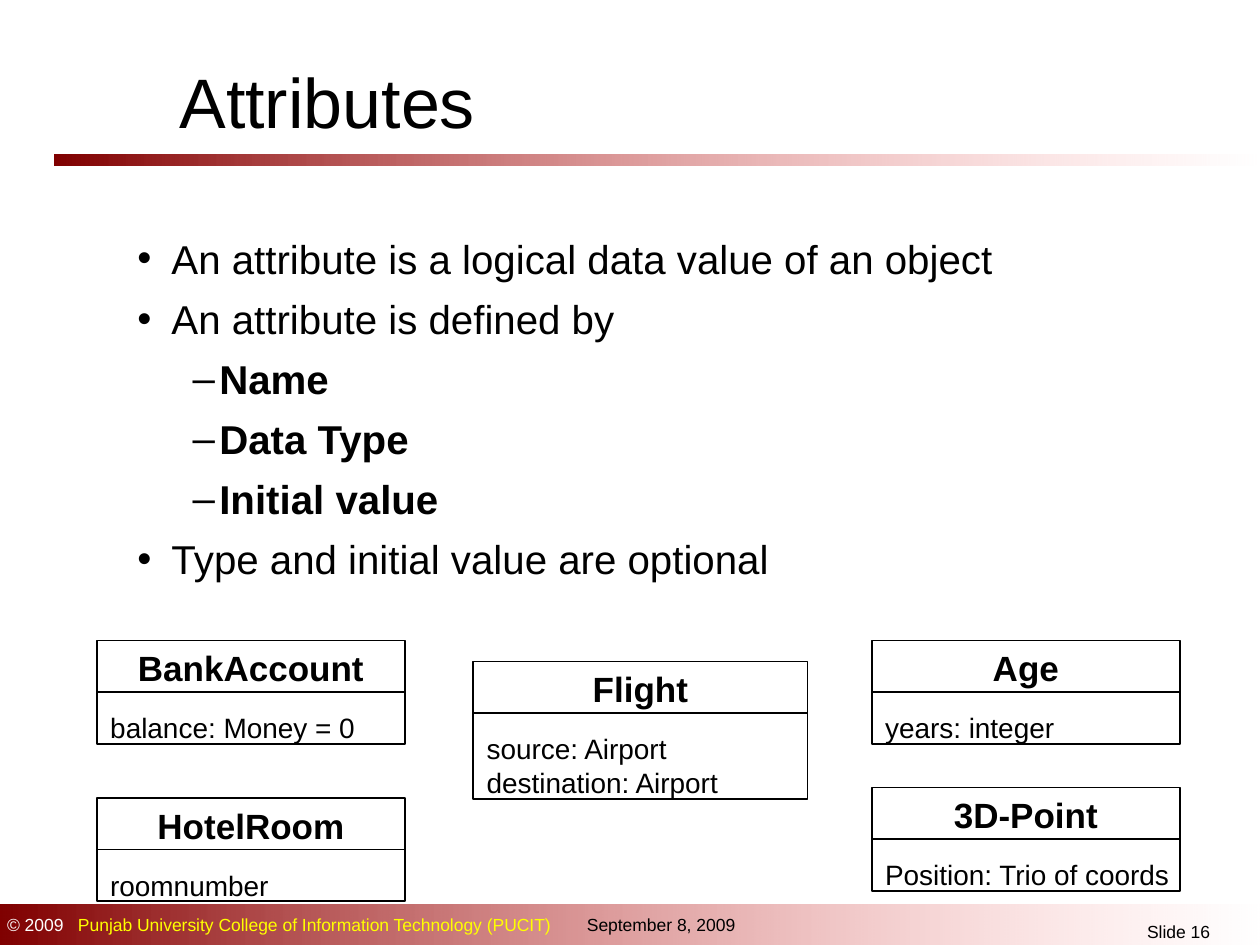
from dataclasses import dataclass

from lxml.etree import SubElement
from pptx import Presentation
from pptx.dml.color import RGBColor
from pptx.enum.shapes import MSO_CONNECTOR, MSO_SHAPE
from pptx.enum.text import MSO_ANCHOR, MSO_AUTO_SIZE, PP_ALIGN
from pptx.oxml.ns import qn
from pptx.util import Pt


@dataclass(frozen=True)
class Theme:
    font: str = "Arial"
    black: RGBColor = RGBColor(0, 0, 0)
    white: RGBColor = RGBColor(255, 255, 255)
    yellow: RGBColor = RGBColor(255, 255, 0)
    maroon: RGBColor = RGBColor(128, 0, 0)
    pink: RGBColor = RGBColor(255, 133, 133)
    title_size: int = 40
    body_size: int = 23
    class_size: int = 20
    member_size: int = 16
    footer_size: int = 10


THEME = Theme()

# Text, level
BULLETS = [
    ("An attribute is a logical data value of an object", 0),
    ("An attribute is defined by", 0),
    ("Name", 1),
    ("Data Type", 1),
    ("Initial value", 1),
    ("Type and initial value are optional", 0),
]
# Per level: bullet sign, left margin, hanging indent
LEVELS = [("•", 19.5, -19.5), ("–", 46.8, -15.2)]

# Class name, members, left, top, width, height, width of the member text
CLASSES = [
    ("BankAccount", ["balance: Money = 0"], 55.4, 366, 176, 59, 154),
    ("HotelRoom", ["roomnumber"], 55.4, 456, 176, 59, 105),
    ("Flight", ["source: Airport", "destination: Airport"], 270.5, 378, 191, 78.5, 148),
    ("Age", ["years: integer"], 498.2, 366, 176, 59, 111),
    ("3D-Point", ["Position: Trio of coords"], 498.2, 450, 176, 59, 182),
]
DIVIDER_OFFSET = 29.5
MEMBER_OFFSET = 36.5


def place(shape, left, top, width, height):
    box = {"left": left, "top": top, "width": width, "height": height}
    for name, value in box.items():
        setattr(shape, name, Pt(value))


def format_frame(frame, horizontal=7.2, vertical=3.6, wrap=True):
    values = {
        "margin_left": Pt(horizontal), "margin_right": Pt(horizontal),
        "margin_top": Pt(vertical), "margin_bottom": Pt(vertical),
        "auto_size": MSO_AUTO_SIZE.NONE, "word_wrap": wrap,
        "vertical_anchor": MSO_ANCHOR.TOP,
    }
    for name, value in values.items():
        setattr(frame, name, value)


def add_run(paragraph, text, size, color=THEME.black, bold=False):
    run = paragraph.add_run()
    run.text = text
    values = {"name": THEME.font, "size": Pt(size), "bold": bold}
    for name, value in values.items():
        setattr(run.font, name, value)
    run.font.color.rgb = color


def add_paragraph(frame, index):
    return frame.add_paragraph() if index else frame.paragraphs[0]


def add_text_box(shapes, left, top, width, height, wrap=True):
    box = shapes.add_textbox(Pt(left), Pt(top), Pt(width), Pt(height))
    format_frame(box.text_frame, wrap=wrap)
    return box.text_frame


def add_gradient_bar(slide, left, top, width, height):
    bar = slide.shapes.add_shape(
        MSO_SHAPE.RECTANGLE, Pt(left), Pt(top), Pt(width), Pt(height))
    bar.shadow.inherit = False
    bar.line.fill.background()
    bar.fill.gradient()
    bar.fill.gradient_angle = 0
    for stop, color in zip(bar.fill.gradient_stops, (THEME.maroon, THEME.pink)):
        stop.color.rgb = color
    # The last stop fades out completely
    last_color = list(bar._element.spPr.iter(qn("a:srgbClr")))[-1]
    SubElement(last_color, qn("a:alpha"), val="0")


def add_title(slide):
    title = slide.shapes.title
    place(title, 99, 32, 184, 50)
    format_frame(title.text_frame, horizontal=3.6, vertical=1.4)
    paragraph = title.text_frame.paragraphs[0]
    paragraph.alignment = PP_ALIGN.LEFT
    add_run(paragraph, "Attributes", THEME.title_size)


def add_bullet_list(slide):
    body = slide.placeholders[1]
    place(body, 72, 130, 592, 208)
    format_frame(body.text_frame, horizontal=6.5)
    for index, (text, level) in enumerate(BULLETS):
        paragraph = add_paragraph(body.text_frame, index)
        sign, margin, indent = LEVELS[level]
        properties = paragraph._p.get_or_add_pPr()
        properties.set("marL", str(Pt(margin)))
        properties.set("indent", str(Pt(indent)))
        SubElement(properties, qn("a:buFont"), typeface=THEME.font)
        SubElement(properties, qn("a:buChar"), char=sign)
        paragraph.level = level
        paragraph.space_before = Pt(6.8 if index else 0)
        add_run(paragraph, text, THEME.body_size, bold=level == 1)


def add_class_box(slide, name, members, left, top, width, height, member_width):
    shapes = slide.shapes.add_group_shape().shapes

    # Outline with the class name
    outline = shapes.add_shape(
        MSO_SHAPE.RECTANGLE, Pt(left), Pt(top), Pt(width), Pt(height))
    outline.shadow.inherit = False
    outline.fill.background()
    format_frame(outline.text_frame, wrap=False)
    paragraph = outline.text_frame.paragraphs[0]
    paragraph.alignment = PP_ALIGN.CENTER
    add_run(paragraph, name, THEME.class_size, bold=True)

    # Divider
    y = Pt(top + DIVIDER_OFFSET)
    divider = shapes.add_connector(
        MSO_CONNECTOR.STRAIGHT, Pt(left), y, Pt(left + width), y)
    SubElement(divider._element.spPr, qn("a:effectLst"))
    if DIVIDER_OFFSET * 2 == height:
        divider.begin_connect(outline, 1)
        divider.end_connect(outline, 3)
    for shape in (outline, divider):
        shape.line.color.rgb = THEME.black
        shape.line.width = Pt(1)

    # Members
    frame = add_text_box(shapes, left + 0.5, top + MEMBER_OFFSET, member_width,
                         7 + 19 * len(members), wrap=False)
    for index, member in enumerate(members):
        add_run(add_paragraph(frame, index), member, THEME.member_size)


def add_footer(slide):
    size = THEME.footer_size
    add_gradient_bar(slide, 0, 517, 722, 25)

    # Copyright line, with a tab between year and owner
    paragraph = add_text_box(slide.shapes, -3, 519, 465, 19.5).paragraphs[0]
    tabs = SubElement(paragraph._p.get_or_add_pPr(), qn("a:tabLst"))
    SubElement(tabs, qn("a:tab"), pos=str(Pt(40.5)), algn="l")
    add_run(paragraph, "© 2009\t", size, THEME.white)
    add_run(paragraph, "Punjab University College of Information Technology (PUCIT)",
            size, THEME.yellow)

    # Date
    frame = add_text_box(slide.shapes, 309, 519, 130, 19.5)
    frame.margin_left = Pt(26.4)
    add_run(frame.paragraphs[0], "September 8, 2009", size)

    # Slide number
    paragraph = add_text_box(slide.shapes, 598.5, 523, 150, 17).paragraphs[0]
    paragraph.alignment = PP_ALIGN.CENTER
    add_run(paragraph, "Slide 16", size)


def main():
    presentation = Presentation()
    presentation.slide_width, presentation.slide_height = Pt(720), Pt(540)
    slide = presentation.slides.add_slide(presentation.slide_layouts[1])
    add_gradient_bar(slide, 31, 88.5, 689, 6)
    add_footer(slide)
    add_title(slide)
    add_bullet_list(slide)
    for class_values in CLASSES:
        add_class_box(slide, *class_values)
    presentation.save("out.pptx")


if __name__ == "__main__":
    main()
